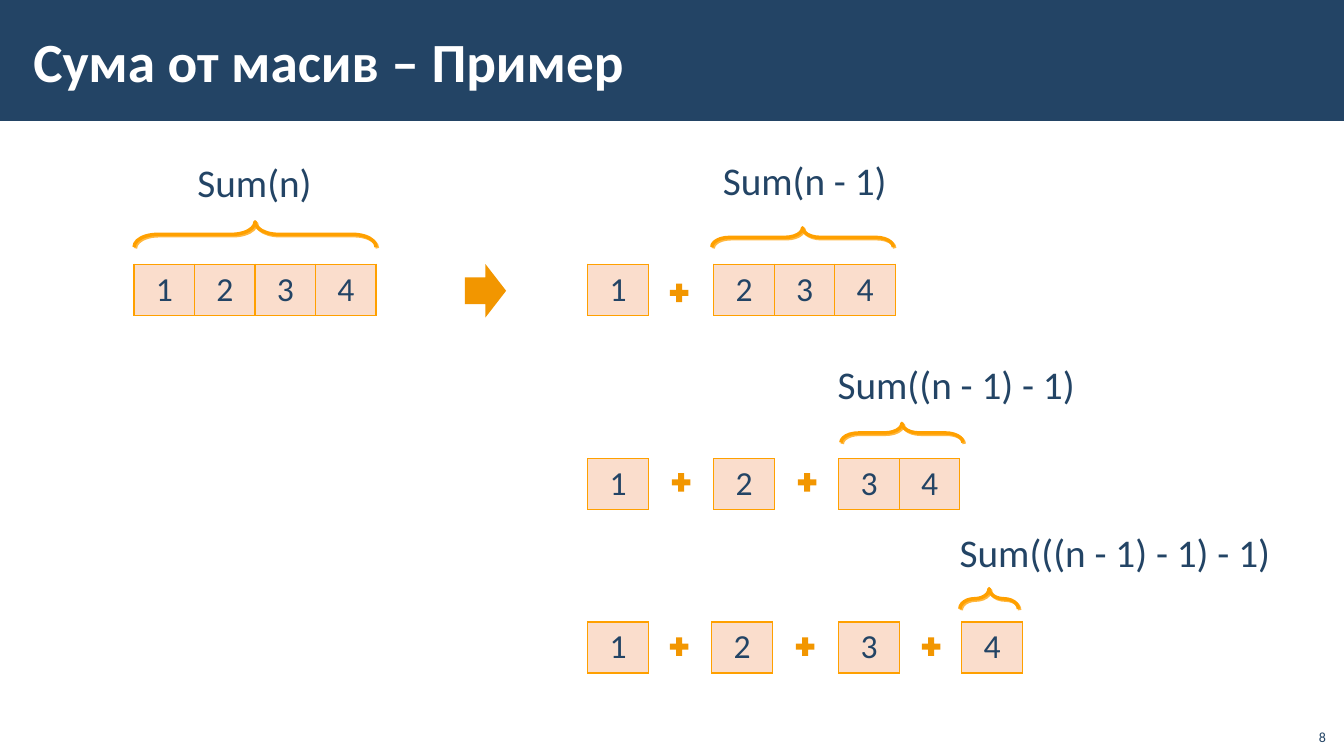
from dataclasses import dataclass

from lxml import etree
from pptx import Presentation
from pptx.dml.color import RGBColor
from pptx.enum.shapes import MSO_SHAPE
from pptx.enum.text import MSO_ANCHOR, MSO_AUTO_SIZE, PP_ALIGN
from pptx.oxml.ns import qn
from pptx.util import Emu, Pt

PLUS, ARROW = MSO_SHAPE.MATH_PLUS, MSO_SHAPE.RIGHT_ARROW
BRACE, RECT = MSO_SHAPE.LEFT_BRACE, MSO_SHAPE.RECTANGLE
LEFT, RIGHT, MID = PP_ALIGN.LEFT, PP_ALIGN.RIGHT, PP_ALIGN.CENTER
MIDDLE, BOTTOM = MSO_ANCHOR.MIDDLE, MSO_ANCHOR.BOTTOM
FIXED, GROW = MSO_AUTO_SIZE.NONE, MSO_AUTO_SIZE.SHAPE_TO_FIT_TEXT

SCALE = 9144  # EMU in one px, 100 px to the inch
FONT = "Calibri"
COLORS = {
    "navy": "234465",
    "white": "FFFFFF",
    "sign": "F29600",
    "edge": "FFA000",
    "glow": "FFB840",
    "cell": "FADDCC",
}
CELL_W, CELL_H = 60, 50
SIGN, STEP = 25, 125  # size of a plus, distance between pluses


@dataclass
class Array:
    """A piece of the array: its left edge and its values."""
    left: int
    vals: str


@dataclass
class Row:
    """A line of arrays with the pluses between them."""
    top: int
    arrays: list[Array]
    sign_x: int = 0
    sign_y: int = 0


@dataclass
class Call:
    """A call label and the brace below it."""
    text: str
    box: tuple[int, int, int, int]
    brace: tuple[int, int, int, int]


ROWS = [
    Row(262, [Array(133, "1234")]),
    Row(262, [Array(583, "1"), Array(708, "234")], 661, 278),
    Row(455, [Array(583, "1"), Array(708, "2"), Array(832, "34")], 663, 466),
    Row(617, [Array(583, "1"), Array(706, "2"), Array(832, "3"),
              Array(954, "4")], 661, 629),
]
# Braces are given as they lie: left, top, width, height
CALLS = [
    Call("Sum(n)", (186, 152, 135, 57), (133, 220, 240, 25)),
    Call("Sum(n - 1)", (707, 150, 185, 57), (706, 226, 180, 19)),
    Call("Sum((n - 1) - 1)", (821, 353, 266, 57), (834, 420, 121, 19)),
    Call("Sum(((n - 1) - 1) - 1)", (942, 519, 340, 57), (952, 584, 58, 20)),
]


def px(num: float) -> Emu:
    return Emu(round(num * SCALE))


def rgb(name: str) -> RGBColor:
    return RGBColor.from_string(COLORS[name])


def write(frame, text: str, size: float, color: str, align=LEFT, bold=False) -> None:
    para = frame.paragraphs[0]
    para.alignment = align
    run = para.add_run()
    run.text = text
    font = run.font
    font.name, font.size, font.bold = FONT, Pt(size), bold
    font.color.rgb = rgb(color)


def add_solid(slide, kind, box: tuple[int, int, int, int], color: str):
    shape = slide.shapes.add_shape(kind, *map(px, box))
    shape.shadow.inherit = False
    shape.fill.solid()
    shape.fill.fore_color.rgb = rgb(color)
    shape.line.fill.background()
    return shape


def add_brace(slide, box: tuple[int, int, int, int]) -> None:
    # A left brace turned by 90 degrees about its centre
    left, top, wide, high = box
    shape = slide.shapes.add_shape(
        BRACE, px(left + (wide - high) / 2), px(top + (high - wide) / 2),
        px(high), px(wide))
    shape.rotation = 90
    shape.adjustments[0] = 0.92
    shape.fill.background()
    shape.line.color.rgb = rgb("edge")
    shape.line.width = Pt(2.5)
    shape.shadow.inherit = False
    effect = shape._element.spPr.find(qn("a:effectLst"))
    shade = etree.SubElement(effect, qn("a:outerShdw"), blurRad="0",
                             dist=str(Pt(1.4)), dir="2700000", algn="tl",
                             rotWithShape="0")
    etree.SubElement(shade, qn("a:srgbClr"), val=COLORS["glow"])


def add_call(slide, call: Call) -> None:
    frame = slide.shapes.add_textbox(*map(px, call.box)).text_frame
    frame.word_wrap = False
    frame.auto_size = GROW
    write(frame, call.text, 28, "navy")
    add_brace(slide, call.brace)


def add_array(slide, array: Array, top: int) -> None:
    count = len(array.vals)
    table = slide.shapes.add_table(1, count, px(array.left), px(top),
                                   px(CELL_W * count), px(CELL_H)).table
    table.first_row = table.horz_banding = False
    for col, val in enumerate(array.vals):
        cell = table.cell(0, col)
        props = cell._tc.get_or_add_tcPr()
        for side in ("lnL", "lnR", "lnT", "lnB"):
            line = etree.SubElement(props, qn(f"a:{side}"), w=str(Pt(1)))
            fill = etree.SubElement(line, qn("a:solidFill"))
            etree.SubElement(fill, qn("a:srgbClr"), val=COLORS["edge"])
        cell.fill.solid()
        cell.fill.fore_color.rgb = rgb("cell")
        write(cell.text_frame, val, 24, "navy", MID)


def add_row(slide, row: Row) -> None:
    for array in row.arrays:
        add_array(slide, array, row.top)
    for idx in range(len(row.arrays) - 1):
        box = (row.sign_x + idx * STEP, row.sign_y, SIGN, SIGN)
        add_solid(slide, PLUS, box, "sign")


def add_head(slide) -> None:
    # The band goes behind the title
    band = add_solid(slide, RECT, (0, 0, 1334, 120), "navy")
    slide.shapes._spTree.insert(2, band._element)
    title = slide.shapes.title
    title.left, title.top, title.width, title.height = map(px, (21, 11, 1063, 97))
    frame = title.text_frame
    frame.word_wrap = True
    frame.auto_size = FIXED
    frame.vertical_anchor = MIDDLE
    frame.margin_left = frame.margin_right = px(12)
    frame.margin_top = frame.margin_bottom = px(4)
    write(frame, "Сума от масив – Пример", 39.5, "white", bold=True)


def main() -> None:
    deck = Presentation()
    deck.slide_width, deck.slide_height = px(1333), px(750)
    slide = deck.slides.add_slide(deck.slide_layouts[5])
    add_head(slide)

    # Arrays, pluses and calls
    for row in ROWS:
        add_row(slide, row)
    for call in CALLS:
        add_call(slide, call)
    add_solid(slide, ARROW, (461, 262, 41, 53), "sign")

    # Page number
    frame = slide.shapes.add_textbox(*map(px, (1285, 712, 40, 32))).text_frame
    frame.word_wrap = True
    frame.vertical_anchor = BOTTOM
    write(frame, "8", 10, "navy", RIGHT)

    deck.save("out.pptx")


if __name__ == "__main__":
    main()
